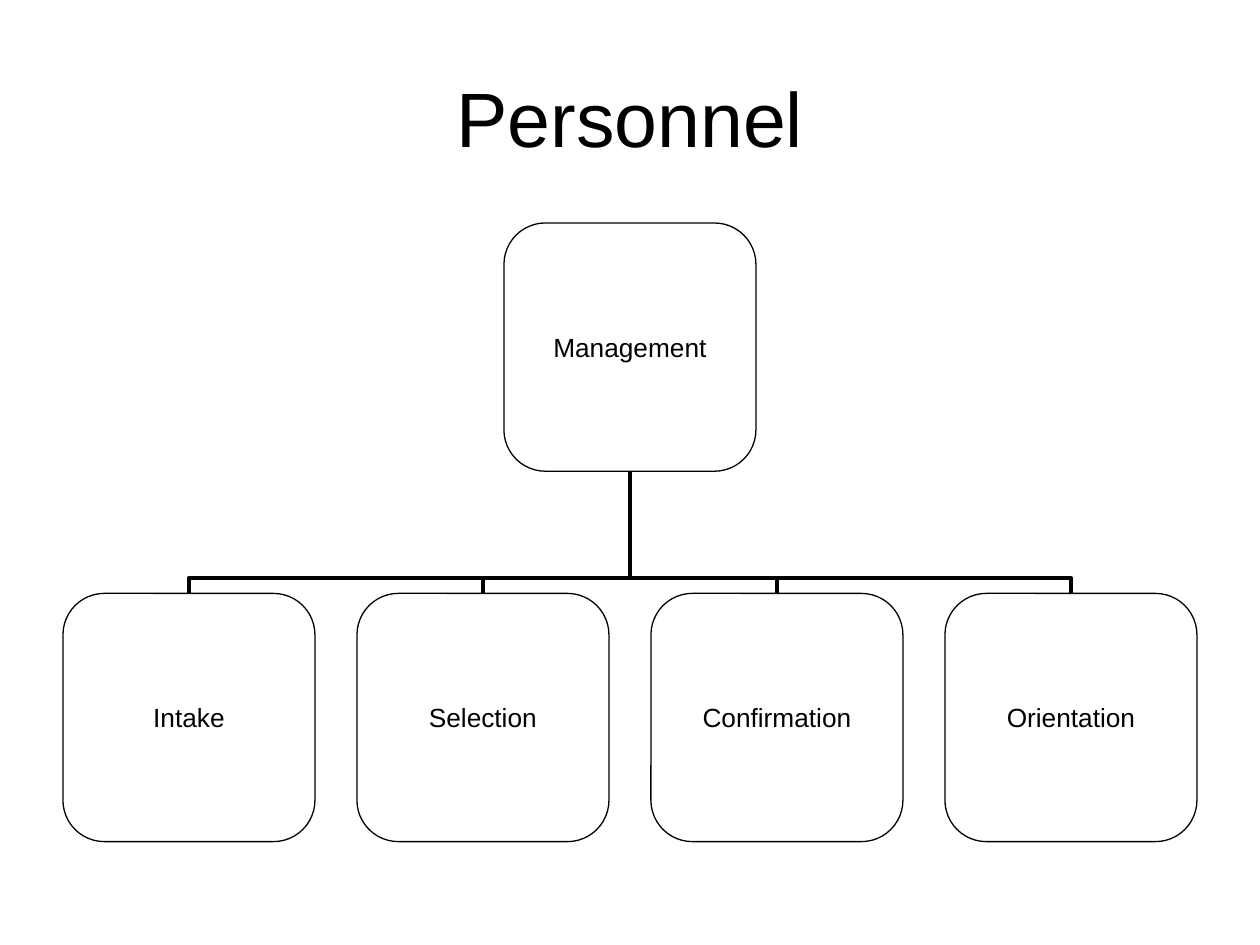
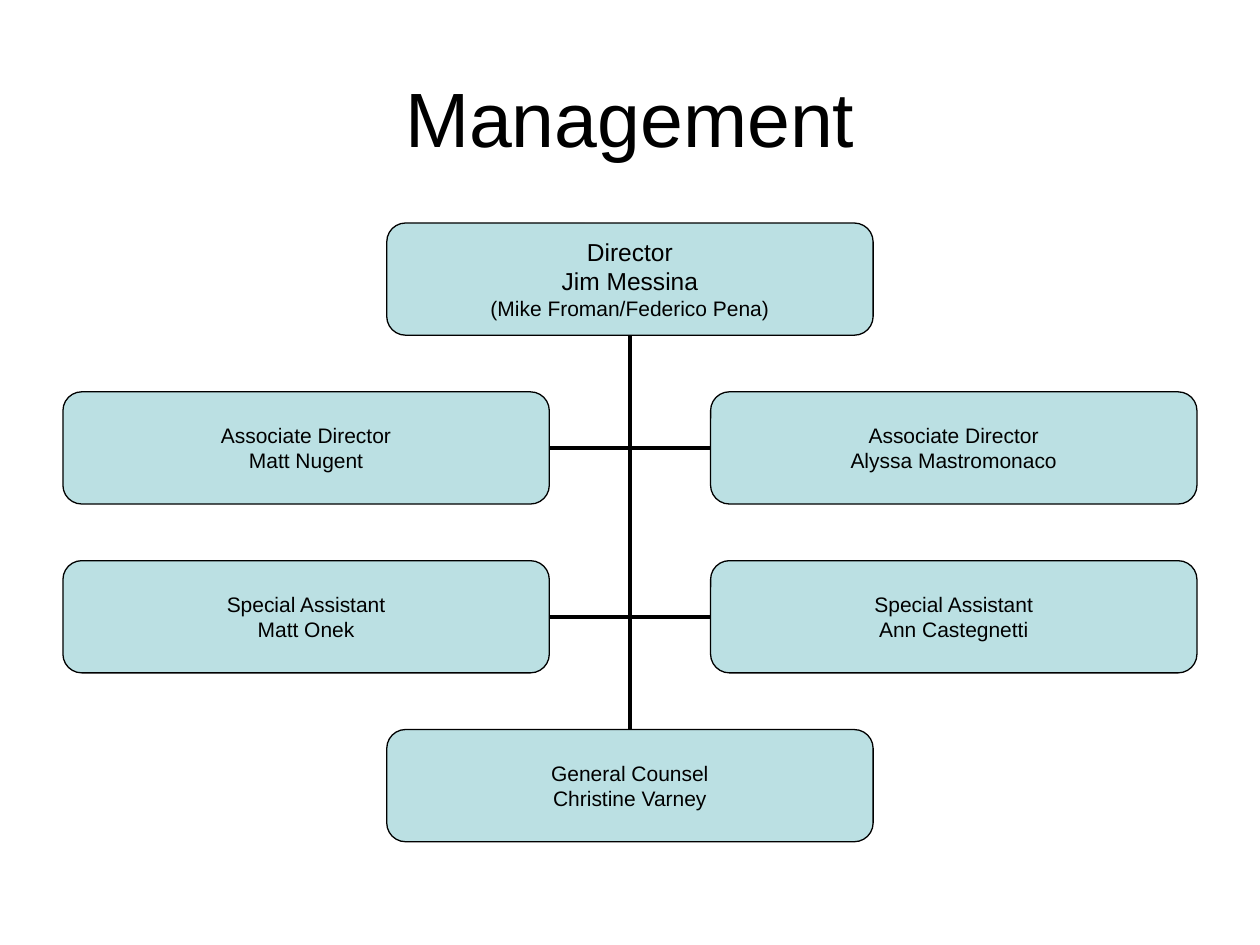
from dataclasses import dataclass

import pptx
import pptx.dml.color
import pptx.enum.shapes
import pptx.enum.text
import pptx.oxml.ns
import pptx.util
from lxml import etree
from pptx.util import Inches, Pt

COLORS = {"ink": "000000", "staff": "BBE0E3"}
FONT = "Arial"
CENTER_X = 5.0
MARGIN = 0.5
CHART_TOP = 1.77


@dataclass(frozen=True)
class Line:
    text: str
    size: float


@dataclass(frozen=True)
class Box:
    left: float
    top: float
    width: float
    height: float
    lines: tuple[Line, ...]
    fill: str | None = None

    @property
    def middle_x(self) -> float:
        return self.left + self.width / 2

    @property
    def middle_y(self) -> float:
        return self.top + self.height / 2

    @property
    def bottom(self) -> float:
        return self.top + self.height


def rgb(name: str) -> pptx.dml.color.RGBColor:
    return pptx.dml.color.RGBColor.from_string(COLORS[name])


def write_lines(frame, lines: tuple[Line, ...]) -> None:
    frame.vertical_anchor = pptx.enum.text.MSO_ANCHOR.MIDDLE
    for index, line in enumerate(lines):
        paragraph = frame.add_paragraph() if index else frame.paragraphs[0]
        paragraph.text = line.text
        paragraph.alignment = pptx.enum.text.PP_ALIGN.CENTER
        paragraph.font.name = FONT
        paragraph.font.size = Pt(line.size)
        paragraph.font.color.rgb = rgb("ink")


def add_titled_slide(deck, title: str):
    slide = deck.slides.add_slide(deck.slide_layouts[6])
    heading = slide.shapes.add_textbox(
        Inches(MARGIN), Inches(0.3), Inches(9), Inches(1.25))
    heading.text_frame.word_wrap = True
    write_lines(heading.text_frame, (Line(title, 44),))
    return slide


def draw_box(slide, box: Box) -> None:
    shape = slide.shapes.add_shape(
        pptx.enum.shapes.MSO_SHAPE.ROUNDED_RECTANGLE,
        Inches(box.left), Inches(box.top), Inches(box.width), Inches(box.height))
    shape.shadow.inherit = False
    shape.adjustments[0] = 0.167
    if box.fill:
        shape.fill.solid()
        shape.fill.fore_color.rgb = rgb(box.fill)
    else:
        shape.fill.background()
    shape.line.color.rgb = rgb("ink")
    shape.line.width = Pt(0.75)
    frame = shape.text_frame
    frame.margin_left = frame.margin_right = Inches(0)
    frame.margin_top = frame.margin_bottom = Inches(0)
    frame.word_wrap = False
    write_lines(frame, box.lines)


def add_link(slide, start: tuple[float, float], end: tuple[float, float],
             straight: bool = False):
    kinds = pptx.enum.shapes.MSO_CONNECTOR
    link = slide.shapes.add_connector(
        kinds.STRAIGHT if straight else kinds.ELBOW,
        *(Inches(length) for length in (*start, *end)))
    link.line.color.rgb = rgb("ink")
    link.line.width = Pt(2.25)
    etree.SubElement(link._element.spPr, pptx.oxml.ns.qn("a:effectLst"))
    return link


def link_from_top(slide, child: Box, parent: Box) -> None:
    """Join a child's top to its parent's bottom, turning just above the child."""
    rise = child.top - parent.bottom
    run = child.middle_x - parent.middle_x
    x = (child.middle_x + parent.middle_x) / 2
    y = (child.top + parent.bottom) / 2
    # A quarter turn makes the elbow leave vertically, so width and height swap.
    reach = rise / 2 if run < 0 else -rise / 2
    link = add_link(slide, (x + reach, y + abs(run) / 2),
                    (x - reach, y - abs(run) / 2))
    properties = link._element.spPr
    properties.find(pptx.oxml.ns.qn("a:xfrm")).set(
        "rot", "5400000" if run < 0 else "16200000")
    guides = properties.find(pptx.oxml.ns.qn("a:prstGeom")).get_or_add_avLst()
    etree.SubElement(guides, pptx.oxml.ns.qn("a:gd"), name="adj1", fmla="val 12700")


def link_from_side(slide, child: Box, parent: Box) -> None:
    """Join a child's inner side to its parent's bottom with a single turn."""
    on_left = child.middle_x < parent.middle_x
    inner_x = child.left + child.width if on_left else child.left
    link = add_link(slide, (inner_x, child.middle_y),
                    (parent.middle_x, parent.bottom))
    geometry = link._element.spPr.find(pptx.oxml.ns.qn("a:prstGeom"))
    geometry.set("prst", "bentConnector2")


def build_personnel(deck) -> None:
    slide = add_titled_slide(deck, "Personnel")
    width, height, pitch = 2.0, 1.97, 7 / 3

    def unit(name: str, left: float, top: float) -> Box:
        return Box(left, top, width, height, (Line(name, 15),))

    management = unit("Management", CENTER_X - width / 2, CHART_TOP)
    names = ("Intake", "Selection", "Confirmation", "Orientation")
    units = [unit(name, MARGIN + column * pitch, 4.71)
             for column, name in enumerate(names)]
    for child in reversed(units):
        link_from_top(slide, child, management)
    for box in (management, *units):
        draw_box(slide, box)


def build_management(deck) -> None:
    slide = add_titled_slide(deck, "Management")
    width, height, pitch = 3.86, 0.89, 1.34
    middle = CENTER_X - width / 2
    sides = (MARGIN, 10 - MARGIN - width)

    def post(left: float, row: int, *lines: Line) -> Box:
        return Box(left, CHART_TOP + row * pitch, width, height, lines, "staff")

    director = post(middle, 0, Line("Director", 14), Line("Jim Messina", 14),
                    Line("(Mike Froman/Federico Pena)", 12))
    counsel = post(middle, 3, Line("General Counsel", 12),
                   Line("Christine Varney", 12))
    pairs = (
        ("Associate Director", ("Matt Nugent", "Alyssa Mastromonaco")),
        ("Special Assistant", ("Matt Onek", "Ann Castegnetti")),
    )
    staff = [post(left, row, Line(role, 12), Line(person, 12))
             for row, (role, people) in enumerate(pairs, start=1)
             for left, person in zip(sides, people)]
    for member in reversed(staff):
        link_from_side(slide, member, director)
    add_link(slide, (CENTER_X, counsel.top), (CENTER_X, director.bottom),
             straight=True)
    for box in (director, counsel, *staff):
        draw_box(slide, box)


def main() -> None:
    deck = pptx.Presentation()
    deck.slide_width, deck.slide_height = Inches(10), Inches(7.5)
    build_personnel(deck)
    build_management(deck)
    deck.save("out.pptx")


if __name__ == "__main__":
    main()
